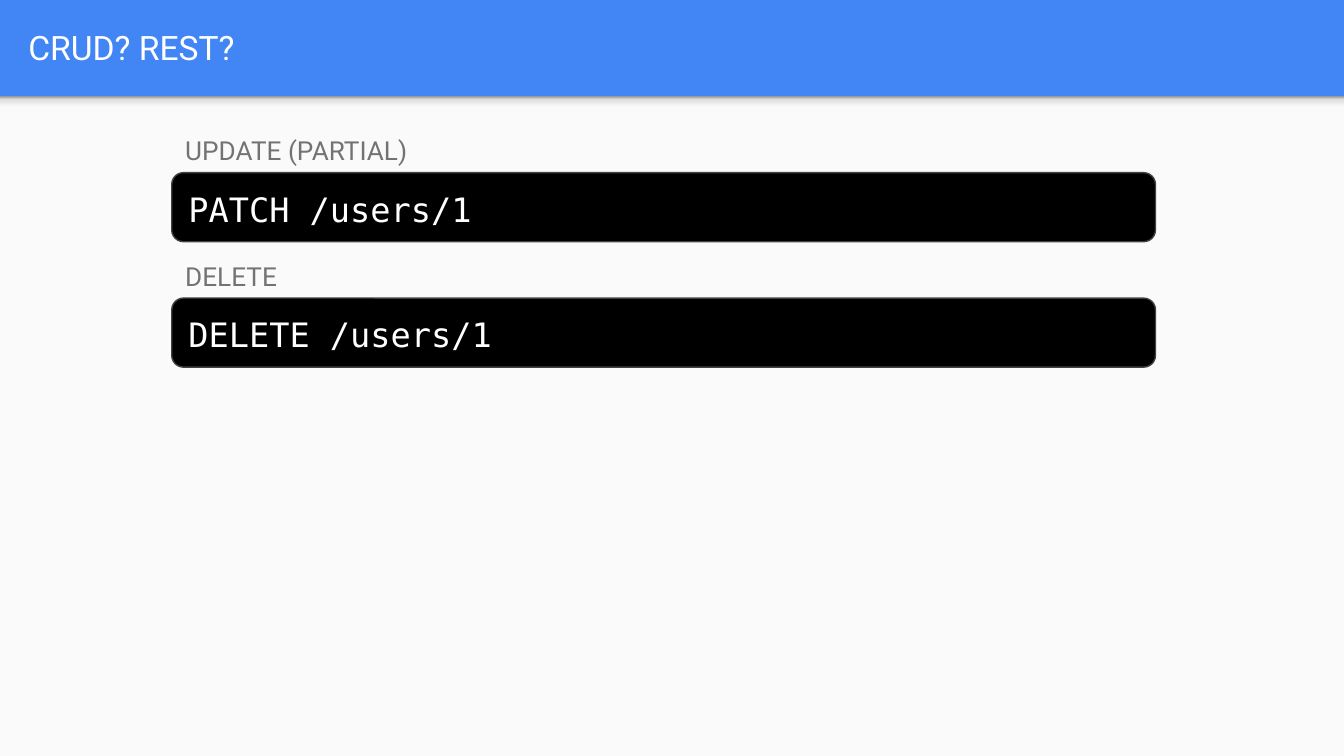
"""Build the slide on partial update and delete requests."""
from copy import deepcopy
from lxml.etree import SubElement
from pptx import Presentation
from pptx.dml.color import RGBColor
from pptx.enum.shapes import MSO_SHAPE
from pptx.enum.text import MSO_ANCHOR, MSO_AUTO_SIZE, PP_ALIGN
from pptx.oxml.ns import qn
from pptx.util import Pt


def paint(fill, color):
    fill.solid()
    fill.fore_color.rgb = RGBColor.from_string(color)


def write(shape, text, size, face, color, anchor=MSO_ANCHOR.TOP, inset=7.2, **spacing):
    frame = shape.text_frame
    frame.text = text
    form = {"word_wrap": True, "auto_size": MSO_AUTO_SIZE.NONE, "vertical_anchor": anchor,
            "margin_left": Pt(7.2), "margin_right": Pt(7.2),
            "margin_top": Pt(inset), "margin_bottom": Pt(7.2)}
    for name, value in form.items():
        setattr(frame, name, value)
    para = frame.paragraphs[0]
    props = para._p.get_or_add_pPr()
    props.set("marL", "0")
    props.set("indent", "0")
    SubElement(props, qn("a:buNone"))
    for name, value in {"alignment": PP_ALIGN.LEFT, "space_before": Pt(0), **spacing}.items():
        setattr(para, name, value)
    font = para.runs[0].font
    for name, value in {"size": Pt(size), "name": face}.items():
        setattr(font, name, value)
    paint(font.fill, color)


deck = Presentation()
deck.slide_width, deck.slide_height = Pt(720), Pt(405)
slide = deck.slides.add_slide(deck.slide_layouts[3])
paint(slide.background.fill, "4285F4")
shapes = slide.shapes
tree = shapes._spTree
title, *labels = list(slide.placeholders)[:3]
for spare in list(slide.placeholders)[3:]:
    tree.remove(spare._element)

panel = shapes.add_shape(MSO_SHAPE.RECTANGLE, 0, Pt(51.6), Pt(720), Pt(353.4))
paint(panel.fill, "FAFAFA")
shade = shapes.add_shape(MSO_SHAPE.RECTANGLE, 0, Pt(51.6), Pt(720), Pt(8.7))
shade.fill.gradient()
shade.fill.gradient_angle = 90
stops = shade._element.spPr.find(qn("a:gradFill")).find(qn("a:gsLst"))
for _ in range(2):
    stops.append(deepcopy(stops[0]))
tones = [(0, "F9F9F9"), (0.36, "F9F9F9"), (0.8, "DEDEDE"), (1, "999999")]
for stop, (place, tone) in zip(shade.fill.gradient_stops, tones):
    stop.position = place
    stop.color.rgb = RGBColor.from_string(tone)
for shape in (panel, shade):
    shape.line.fill.background()
    shape.shadow.inherit = False

tree.append(title._element)
title.left, title.top, title.width, title.height = Pt(8), Pt(1.6), Pt(695), Pt(47.3)
write(title, "CRUD? REST?", 18, "Roboto", "FFFFFF", MSO_ANCHOR.MIDDLE)

left, wide, gap = Pt(92), Pt(527), {"line_spacing": 1.15, "space_after": Pt(16)}
calls = [("UPDATE (PARTIAL)", "PATCH /users/1"), ("DELETE", "DELETE /users/1")]
for row, (label, (verb, code)) in enumerate(zip(labels, calls)):
    top = 62.5 + 67.2 * row
    tree.append(label._element)
    label.left, label.top, label.width, label.height = left, Pt(top), wide, Pt(30)
    write(label, verb, 14, "Roboto", "737373", **gap)
    box = shapes.add_shape(MSO_SHAPE.ROUNDED_RECTANGLE, left, Pt(top + 30), wide, Pt(37))
    box.adjustments[0] = 0.17
    box.shadow.inherit = False
    paint(box.fill, "000000")
    paint(box.line.fill, "424242")
    box.line.width = Pt(0.75)
    write(box, code, 18, "DejaVu Sans Mono", "FFFFFF", inset=3.6, **gap)

deck.save("out.pptx")
